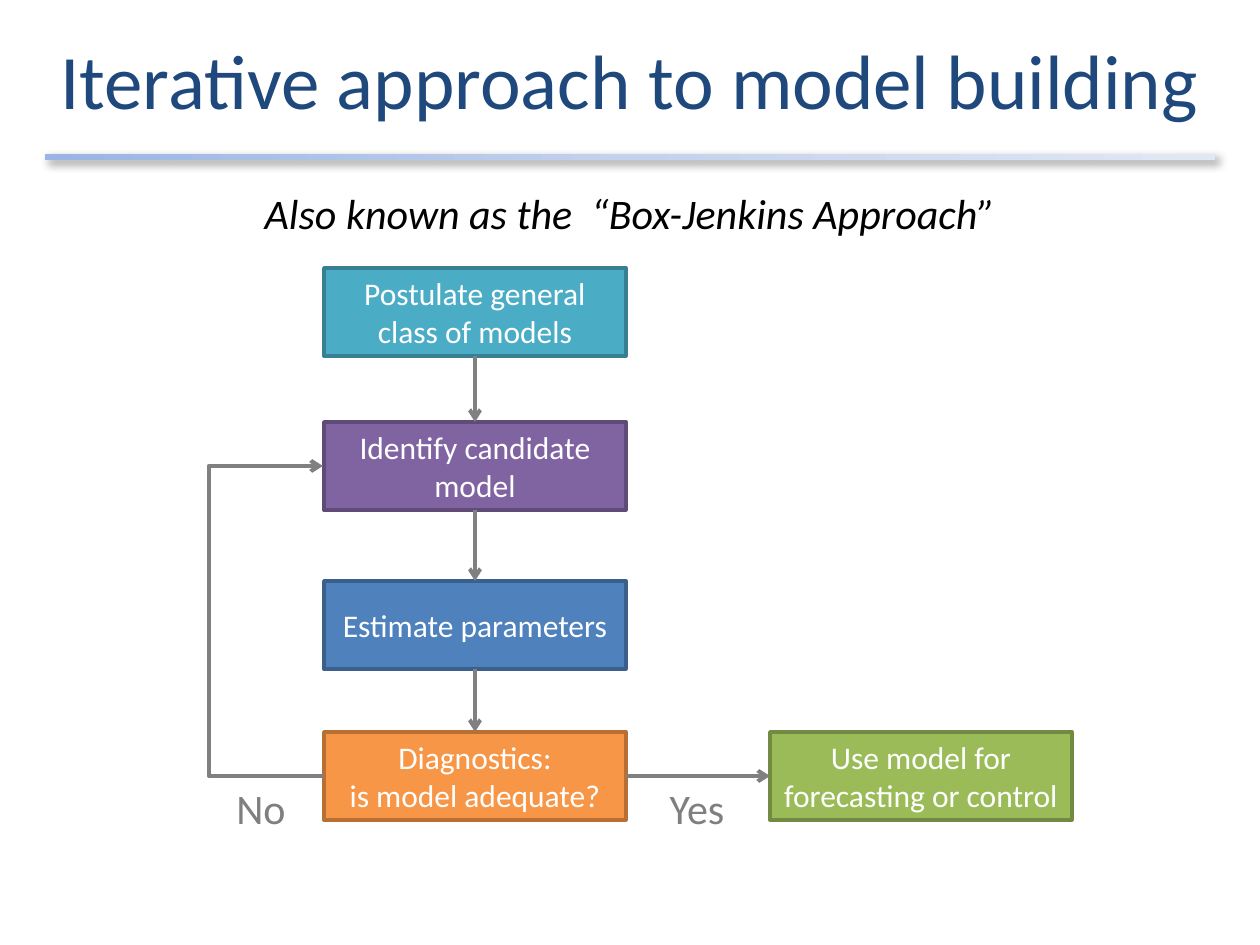
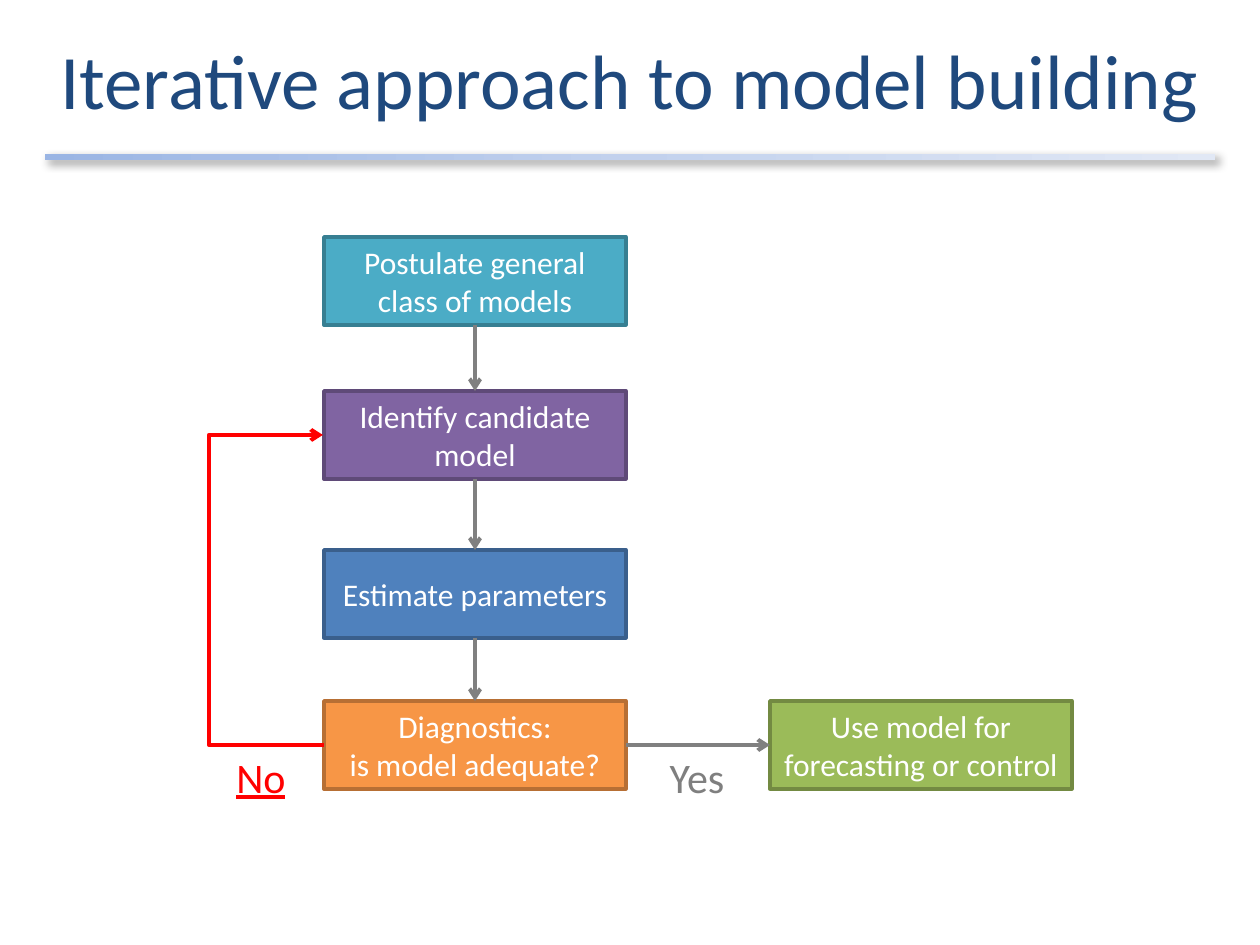
"""Build two slides on the iterative approach to model building."""
from copy import deepcopy
from dataclasses import dataclass
from typing import Any, NamedTuple

from pptx import Presentation
from pptx import util as u
from pptx.dml.color import RGBColor
from pptx.enum import shapes, text
from pptx.oxml import parse_xml
from pptx.oxml.ns import nsdecls

SCALE = u.Inches(1) / 126


@dataclass(frozen=True)
class Theme:
    face: str = "Calibri"
    title: str = "1F497D"
    ink: str = "000000"
    light: str = "FFFFFF"
    arrow: str = "808080"
    label: str = "7F7F7F"
    alert: str = "FF0000"
    band: tuple[str, ...] = ("9AB5E4", "C2D1ED", "E1E8F5")
    head: int = 44
    note: int = 24
    step: int = 18
    edge: float = 2
    wire: float = 2.25


class Area(NamedTuple):
    left: int
    top: int
    width: int
    height: int


class Step(NamedTuple):
    words: str
    left: int
    top: int
    fill: str
    line: str


class Chart(NamedTuple):
    shift: int
    note: str
    alert: bool


THEME = Theme()
TITLE = "Iterative approach to model building"
HEAD = Area(0, 0, 1260, 158)
BAND = Area(45, 154, 1170, 6)
NOTE = Area(224, 181, 812, 64)
WIDE, HIGH = 302, 88
LEFT, RIGHT, LOOP = 324, 770, 208
LABEL = (88, 63)
STEPS = (
    Step("Postulate general class of models", LEFT, 268, "4BACC6", "377F92"),
    Step("Identify candidate model", LEFT, 422, "8064A2", "5F4A78"),
    Step("Estimate parameters", LEFT, 581, "4F81BD", "3A5F8C"),
    Step("Diagnostics:\nis model adequate?", LEFT, 732, "F79646", "B76F34"),
    Step("Use model for forecasting or control", RIGHT, 732, "9BBB59", "738A42"),
)
CHARTS = (
    Chart(0, "Also known as the  “Box-Jenkins Approach”", False),
    Chart(-31, "", True),
)


def px(count: int) -> u.Emu:
    """Turn px into EMU."""
    return u.Emu(round(count * SCALE))


def apply(item: Any, values: dict[str, Any]) -> None:
    """Set each named value on an item."""
    for name, value in values.items():
        setattr(item, name, value)


def write(shape: Any, words: str, size: int, color: str,
          anchor: Any = text.MSO_ANCHOR.MIDDLE, **extra: Any) -> None:
    """Put centred, styled text in a shape."""
    frame = shape.text_frame
    frame.text = words
    apply(frame, {"word_wrap": True, "auto_size": text.MSO_AUTO_SIZE.NONE,
                  "vertical_anchor": anchor})
    for para in frame.paragraphs:
        para.alignment = text.PP_ALIGN.CENTER
        for run in para.runs:
            apply(run.font, {"name": THEME.face, "size": u.Pt(size), **extra})
            run.font.color.rgb = RGBColor.from_string(color)


def block(slide: Any, area: Area) -> Any:
    """Add a plain rectangle."""
    shape = slide.shapes.add_shape(shapes.MSO_SHAPE.RECTANGLE, *map(px, area))
    shape.shadow.inherit = False
    return shape


def band(slide: Any) -> None:
    """Draw the shaded rule below the title."""
    shape = block(slide, BAND)
    shape.line.fill.background()
    shape.fill.gradient()
    shape.fill.gradient_angle = 0
    first = shape._element.spPr.xpath(".//a:gs")[0]
    first.addnext(deepcopy(first))
    for index, (stop, color) in enumerate(zip(shape.fill.gradient_stops, THEME.band)):
        stop.position = index / (len(THEME.band) - 1)
        stop.color.rgb = RGBColor.from_string(color)
    effect = shape._element.spPr.xpath("a:effectLst")[0]
    effect.append(parse_xml(
        f'<a:outerShdw {nsdecls("a")} blurRad="{u.Pt(5)}" dist="{u.Pt(3)}" '
        'dir="2700000" algn="tl" rotWithShape="0"><a:srgbClr val="000000">'
        '<a:alpha val="40000"/></a:srgbClr></a:outerShdw>'))


def box(slide: Any, step: Step, shift: int) -> Any:
    """Draw one step of the flow."""
    shape = block(slide, Area(step.left, step.top + shift, WIDE, HIGH))
    shape.fill.solid()
    shape.fill.fore_color.rgb = RGBColor.from_string(step.fill)
    shape.line.color.rgb = RGBColor.from_string(step.line)
    shape.line.width = u.Pt(THEME.edge)
    write(shape, step.words, THEME.step, THEME.light)
    return shape


def arrow(slide: Any, kind: Any, ends: tuple[int, ...], color: str) -> Any:
    """Draw a connector with an open head."""
    wire = slide.shapes.add_connector(kind, *map(px, ends))
    wire.line.color.rgb = RGBColor.from_string(color)
    wire.line.width = u.Pt(THEME.wire)
    wire.line._ln.append(parse_xml(f'<a:tailEnd {nsdecls("a")} type="arrow"/>'))
    wire._element.spPr.append(parse_xml(f'<a:effectLst {nsdecls("a")}/>'))
    return wire


def join(slide: Any, start: Any, end: Any, sites: tuple[int, int]) -> None:
    """Link two boxes with a straight arrow."""
    wire = arrow(slide, shapes.MSO_CONNECTOR.STRAIGHT, (0, 0, 0, 0), THEME.arrow)
    wire.begin_connect(start, sites[0])
    wire.end_connect(end, sites[1])


def loop(slide: Any, low: int, high: int, color: str) -> None:
    """Draw the bent arrow back to an earlier step."""
    wire = arrow(slide, shapes.MSO_CONNECTOR.ELBOW, (LEFT, low, LEFT - 1, high), color)
    guides = wire._element.spPr.xpath("a:prstGeom")[0].get_or_add_avLst()
    guides.append(parse_xml(
        f'<a:gd {nsdecls("a")} name="adj1" fmla="val {(LEFT - LOOP) * 100000}"/>'))


def note(slide: Any, area: Area, words: str, color: str, **extra: Any) -> None:
    """Add a line of free text."""
    write(slide.shapes.add_textbox(*map(px, area)), words, THEME.note, color, **extra)


def draw(deck: Any, chart: Chart) -> None:
    """Build one slide of the flow chart."""
    slide = deck.slides.add_slide(deck.slide_layouts[5])
    head = slide.shapes.title
    apply(head, {name: px(size) for name, size in HEAD._asdict().items()})
    write(head, TITLE, THEME.head, THEME.title)
    band(slide)
    boxes = [box(slide, step, chart.shift) for step in STEPS]
    *column, goal = boxes
    for start, end in zip(column, column[1:]):
        join(slide, start, end, (2, 0))
    join(slide, column[-1], goal, (3, 1))
    high, low = (STEPS[i].top + chart.shift + HIGH // 2 for i in (1, 3))
    loop(slide, low, high, THEME.alert if chart.alert else THEME.arrow)
    note(slide, Area(217, low, *LABEL), "No",
         THEME.alert if chart.alert else THEME.label, underline=chart.alert)
    note(slide, Area(653, low, *LABEL), "Yes", THEME.label)
    if chart.note:
        note(slide, NOTE, chart.note, THEME.ink, anchor=text.MSO_ANCHOR.TOP, italic=True)


def main() -> None:
    """Build and save the deck."""
    deck = Presentation()
    apply(deck, {"slide_width": px(1260), "slide_height": px(945)})
    for chart in CHARTS:
        draw(deck, chart)
    deck.save("out.pptx")


if __name__ == "__main__":
    main()
